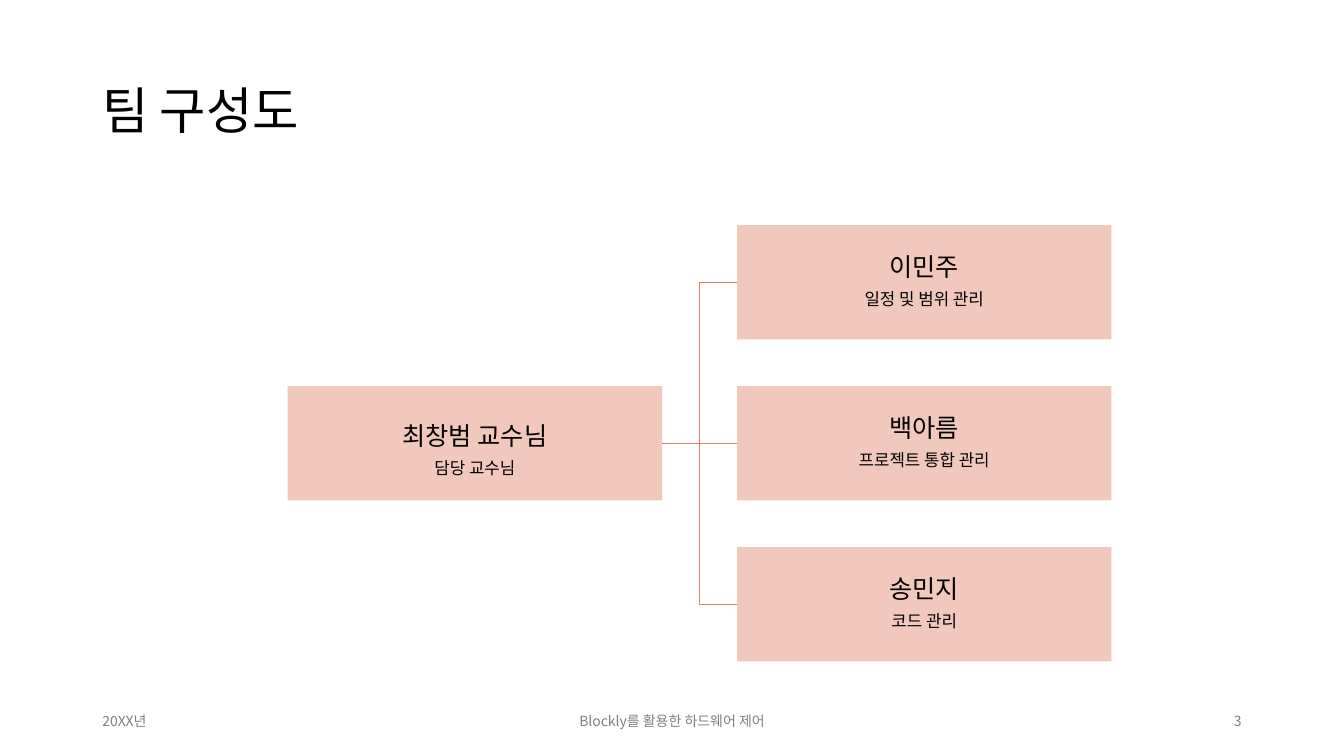
from lxml import etree
from pptx import Presentation
from pptx.dml.color import RGBColor
from pptx.enum.shapes import MSO_CONNECTOR as CONN, MSO_SHAPE
from pptx.enum.text import MSO_ANCHOR as ANCHOR, PP_ALIGN as AL
from pptx.oxml.ns import qn
from pptx.util import Pt

FONT = "Noto Sans CJK KR"
BOX_W, BOX_H = 267.4, 81.6
LEAD_X, MEMBER_X = 205.5, 526.5
MIDDLE_Y, PITCH = 275.8, 115


def rgb(value):
    return RGBColor.from_string(value)


def write(sp, lines, color="000000", align=AL.LEFT, **format_values):
    """Fill a shape with (text, size) lines, one paragraph each."""
    tf = sp.text_frame
    tf.word_wrap = True
    tf.vertical_anchor = ANCHOR.MIDDLE
    for i, (text, size) in enumerate(lines):
        p = tf.paragraphs[0] if i == 0 else tf.add_paragraph()
        p.alignment = align
        for name, value in format_values.items():
            setattr(p, name, value)
        r = p.add_run()
        r.text = text
        r.font.name, r.font.size = FONT, Pt(size)
        r.font.color.rgb = rgb(color)
        etree.SubElement(r.font._element, qn("a:ea")).set("typeface", FONT)


prs = Presentation()
prs.slide_width, prs.slide_height = Pt(960), Pt(540)
s = prs.slides.add_slide(prs.slide_layouts[6])

title = s.shapes.add_textbox(Pt(66), Pt(55.4), Pt(828), Pt(50.4))
write(title, [("팀 구성도", 36)], line_spacing=0.9)

footers = [
    ("20XX년", 66, 216, AL.LEFT),
    ("Blockly를 활용한 하드웨어 제어", 318, 324, AL.CENTER),
    ("3", 678, 216, AL.RIGHT),
]
for text, x, width, align in footers:
    footer = s.shapes.add_textbox(Pt(x), Pt(500.5), Pt(width), Pt(28.8))
    write(footer, [(text, 10)], "808080", align)

# The lead's text sits lower in its box, hence the larger top inset
people = [
    ("최창범 교수님", "담당 교수님", LEAD_X, 0, 12),
    ("이민주", "일정 및 범위 관리", MEMBER_X, -1, 0.7),
    ("백아름", "프로젝트 통합 관리", MEMBER_X, 0, 0.7),
    ("송민지", "코드 관리", MEMBER_X, 1, 0.7),
]
boxes = []
for person, role, x, row, top_inset in people:
    y = MIDDLE_Y + row * PITCH
    box = s.shapes.add_shape(MSO_SHAPE.RECTANGLE, Pt(x), Pt(y), Pt(BOX_W), Pt(BOX_H))
    box.shadow.inherit = False
    box.fill.solid()
    box.fill.fore_color.rgb = rgb("F0C8BC")
    box.line.fill.background()
    tf = box.text_frame
    tf.margin_left = tf.margin_right = tf.margin_bottom = Pt(0.7)
    tf.margin_top = Pt(top_inset)
    write(box, [(person, 18), (role, 12)], align=AL.CENTER,
          line_spacing=0.9, space_after=Pt(6.3))
    boxes.append(box)

lead, *members = boxes
for member in members:
    kind = CONN.STRAIGHT if member.top == lead.top else CONN.ELBOW
    link = s.shapes.add_connector(kind, 0, 0, 0, 0)
    link.begin_connect(lead, 3)
    link.end_connect(member, 1)
    link.line.color.rgb = rgb("DC8065")
    link.line.width = Pt(1)
    etree.SubElement(link._element.spPr, qn("a:effectLst"))

prs.save("out.pptx")
